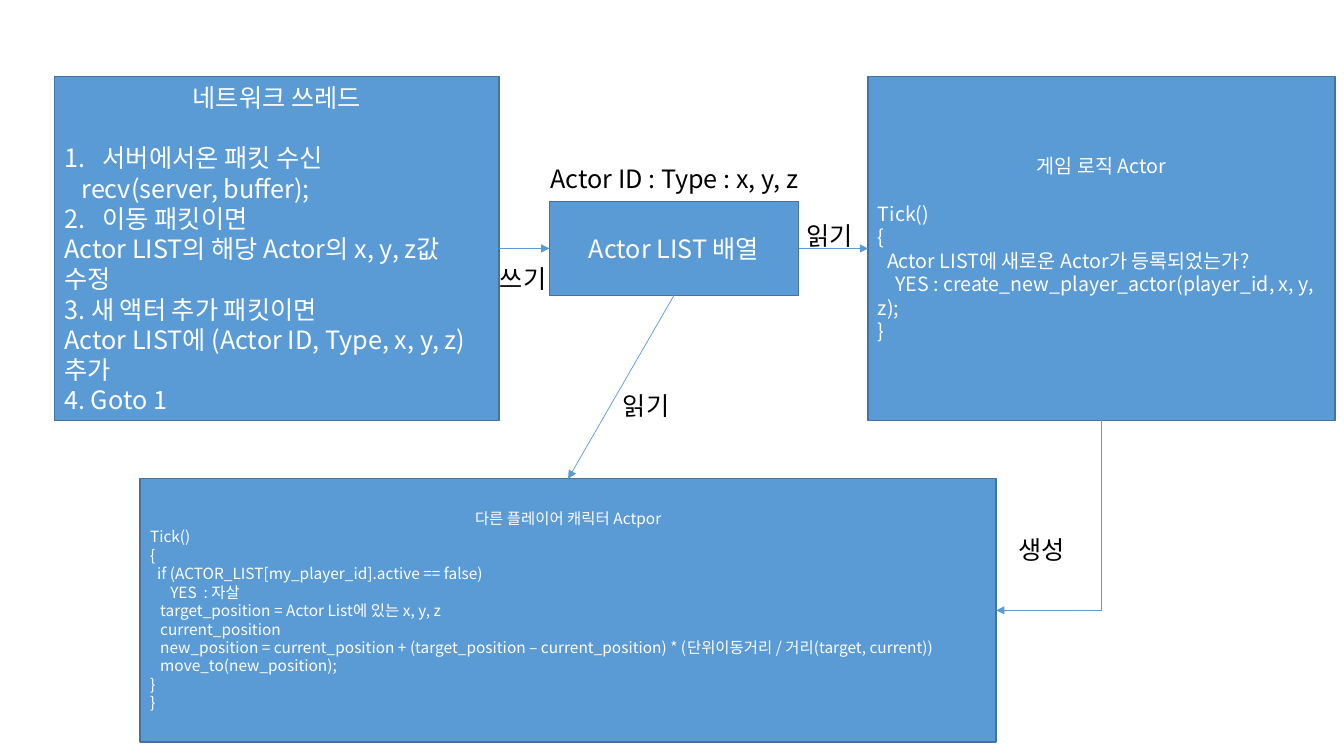
from lxml import etree
from pptx import Presentation, util as u
from pptx.dml.color import RGBColor
from pptx.enum import shapes, text
from pptx.oxml import ns

CELL = 0.1  # inches per grid column and row
FONT = "Noto Sans CJK KR"
BLUE, EDGE, WHITE, BLACK = "5B9BD5", "43739E", "FFFFFF", "000000"
TOP, LEFT, BOTTOM, RIGHT = range(4)  # connection sites of a rectangle


def grid(count):
    """Turn grid columns or rows into a length."""
    return u.Inches(count * CELL)


def colour(code):
    """Turn a hex string into a colour."""
    return RGBColor.from_string(code)


def add_child(parent, tag, **attributes):
    """Append a DrawingML element and return it."""
    return etree.SubElement(parent, ns.qn(tag), attributes)


class Diagram:
    """Holds the style and the current slide."""

    def __init__(self, deck):
        """Open a blank page in the deck."""
        self.page = deck.slides.add_slide(deck.slide_layouts[6])

    def style(self, para, size, ink):
        """Set one font for Latin and Korean text of a paragraph."""
        font = para.font
        font.name, font.size = FONT, u.Pt(size)
        font.color.rgb = colour(ink)
        add_child(font._element, "a:ea", typeface=FONT)

    def indent(self, para, first, margin=0, number=None):
        """Indent the first line, and number the paragraph if asked."""
        props = para._p.get_or_add_pPr()
        props.set("marL", str(grid(margin)))
        props.set("indent", str(grid(first)))
        if number:
            bullet = add_child(props, "a:buAutoNum", type="arabicPeriod",
                               startAt=str(number))
            props.find(ns.qn("a:defRPr")).addprevious(bullet)

    def box(self, area, size, title, lines=(), gap=0):
        """Draw a box with a centred title over (text, indent, number) lines."""
        box = self.page.shapes.add_shape(shapes.MSO_SHAPE.RECTANGLE, *map(grid, area))
        box.shadow.inherit = False
        box.fill.solid()
        box.fill.fore_color.rgb = colour(BLUE)
        box.line.color.rgb = colour(EDGE)
        box.line.width = u.Pt(1)
        frame = box.text_frame
        frame.word_wrap = True
        frame.vertical_anchor = text.MSO_ANCHOR.MIDDLE
        heading = frame.paragraphs[0]
        heading.text = title
        heading.alignment = text.PP_ALIGN.CENTER
        heading.space_after = u.Pt(gap)
        self.style(heading, size, WHITE)
        for words, first, number in lines:
            para = frame.add_paragraph()
            para.text = words
            para.alignment = text.PP_ALIGN.LEFT
            self.style(para, size, WHITE)
            if number:
                self.indent(para, -3.8, 3.8, number)
            elif first:
                self.indent(para, first)
        return box

    def label(self, left, top, words, width=7.1):
        """Write a black label that does not wrap."""
        box = self.page.shapes.add_textbox(*map(grid, (left, top, width, 4)))
        box.text_frame.word_wrap = False
        para = box.text_frame.paragraphs[0]
        para.text = words
        self.style(para, 18, BLACK)

    def arrow(self, source, source_site, target, target_site):
        """Join two boxes with a straight arrow."""
        line = self.page.shapes.add_connector(shapes.MSO_CONNECTOR.STRAIGHT, 0, 0, 0, 0)
        line.begin_connect(source, source_site)
        line.end_connect(target, target_site)
        line.line.color.rgb = colour(BLUE)
        line.line.width = u.Pt(0.5)
        add_child(line.line._get_or_add_ln(), "a:tailEnd", type="triangle")
        add_child(line._element.spPr, "a:effectLst")
        return line

    def corner_arrow(self, source, target):
        """Join boxes by an arrow that runs down, then left."""
        line = self.arrow(source, BOTTOM, target, RIGHT)
        across, down = line.width, line.height
        shift = (down - across) // 2
        line.left, line.top = line.left - shift, line.top + shift
        line.width, line.height = down, across
        props = line._element.spPr
        props.find(ns.qn("a:prstGeom")).set("prst", "bentConnector2")
        frame = props.find(ns.qn("a:xfrm"))
        frame.attrib.pop("flipH", None)
        frame.set("rot", "5400000")


NETWORK = [
    ("서버에서온 패킷 수신", 0, 1),
    ("recv(server, buffer);", 1.7, None),
    ("이동 패킷이면", 0, 2),
    ("Actor LIST의 해당 Actor의 x, y, z값 수정", 0, None),
    ("3. 새 액터 추가 패킷이면", 0, None),
    ("Actor LIST에 (Actor ID, Type, x, y, z) 추가", 0, None),
    ("4. Goto 1", 0, None),
]
LOGIC = [
    ("Tick()", 0, None),
    ("{", 0, None),
    ("Actor LIST에 새로운 Actor가 등록되었는가?", 0.9, None),
    ("YES : create_new_player_actor(player_id, x, y, z);", 1.7, None),
    ("}", 0, None),
]
PLAYER = [
    ("Tick()", 0, None),
    ("{", 0, None),
    ("if (ACTOR_LIST[my_player_id].active == false)", 0.7, None),
    ("YES  : 자살", 2, None),
    ("target_position = Actor List에 있는 x, y, z", 1, None),
    ("current_position", 1, None),
    ("new_position = current_position + (target_position – current_position)"
     " * (단위이동거리 / 거리(target, current))", 1, None),
    ("move_to(new_position);", 1, None),
    ("}", 0, None),
    ("}", 0, None),
]

deck = Presentation()
deck.slide_width, deck.slide_height = u.Inches(13.33), u.Inches(7.5)
diagram = Diagram(deck)

network = diagram.box((5.4, 7.6, 44.1, 34.1), 18, "네트워크 쓰레드", NETWORK, gap=21.7)
logic = diagram.box((86.1, 7.6, 46.3, 34.1), 14, "게임 로직 Actor", LOGIC, gap=17)
actors = diagram.box((54.5, 20, 24.7, 9.3), 18, "Actor LIST 배열")
player = diagram.box((13.9, 47.5, 84.9, 26.1), 11, "다른 플레이어 캐릭터 Actpor", PLAYER)

diagram.arrow(network, RIGHT, actors, LEFT)
diagram.arrow(actors, RIGHT, logic, LEFT)
diagram.arrow(actors, BOTTOM, player, TOP)
diagram.corner_arrow(logic, player)

diagram.label(53.6, 15.7, "Actor ID : Type : x, y, z", width=27.9)
diagram.label(100, 52.5, "생성")
diagram.label(79, 21.4, "읽기")
diagram.label(60.8, 38.2, "읽기")
diagram.label(48.6, 25.6, "쓰기")

deck.save("out.pptx")
